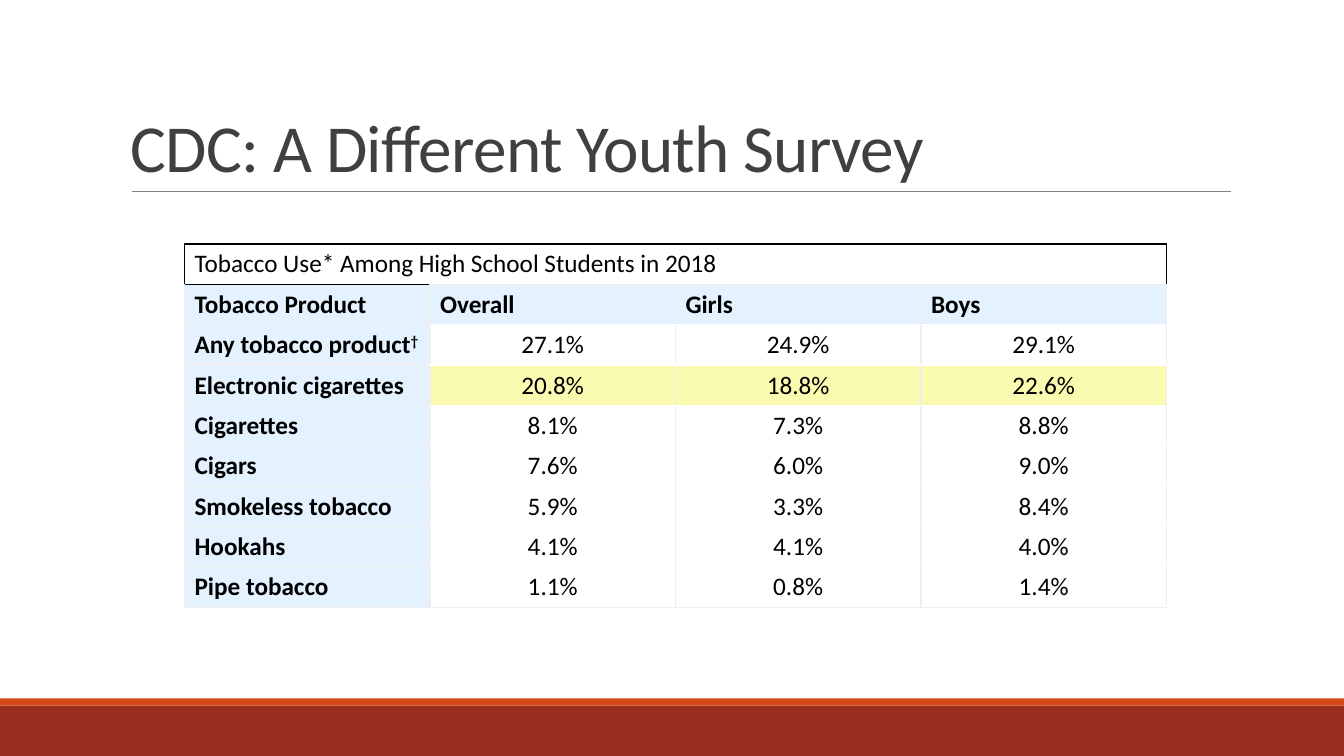
from lxml.etree import SubElement
from pptx import Presentation
from pptx.dml.color import RGBColor
from pptx.enum.shapes import MSO_CONNECTOR, MSO_SHAPE
from pptx.enum.text import MSO_ANCHOR, PP_ALIGN
from pptx.oxml import parse_xml
from pptx.oxml.ns import nsdecls, qn
from pptx.util import Inches, Pt

FONT = "Calibri"
BLACK, WHITE, GRID = "000000", "FFFFFF", "EEEEEE"
LABEL_FILL, HIGHLIGHT = "E3F2FE", "FBFAB1"
CAPTION = "Tobacco Use* Among High School Students in 2018"
HEADINGS = ["Tobacco Product", "Overall", "Girls", "Boys"]
USE_RATES = [
    ["Any tobacco product†", "27.1%", "24.9%", "29.1%"],
    ["Electronic cigarettes", "20.8%", "18.8%", "22.6%"],
    ["Cigarettes", "8.1%", "7.3%", "8.8%"],
    ["Cigars", "7.6%", "6.0%", "9.0%"],
    ["Smokeless tobacco", "5.9%", "3.3%", "8.4%"],
    ["Hookahs", "4.1%", "4.1%", "4.0%"],
    ["Pipe tobacco", "1.1%", "0.8%", "1.4%"],
]


def color(hex_code):
    return RGBColor.from_string(hex_code)


def add_band(slide, left, top, width, height, fill):
    band = slide.shapes.add_shape(
        MSO_SHAPE.RECTANGLE, Inches(left), Inches(top), Inches(width), Inches(height))
    band.shadow.inherit = False
    band.fill.solid()
    band.fill.fore_color.rgb = color(fill)
    band.line.fill.background()


def add_footer(slide, left, top, width, height):
    accent_height = 0.07
    add_band(slide, left, top + accent_height, width, height - accent_height, "9B2D1F")
    add_band(slide, left, top, width, accent_height, "D34817")


def add_title(slide, left, top, width, height):
    bottom = top + height
    rule = slide.shapes.add_connector(
        MSO_CONNECTOR.STRAIGHT, Inches(left + 0.11), Inches(bottom),
        Inches(left + width + 0.01), Inches(bottom))
    rule.line.color.rgb = color("808080")
    rule.line.width = Pt(0.5)
    SubElement(rule._element.spPr, qn("a:effectLst"))

    title = slide.shapes.add_textbox(
        Inches(left), Inches(top), Inches(width), Inches(height)).text_frame
    title.word_wrap = True
    title.vertical_anchor = MSO_ANCHOR.BOTTOM
    heading = title.paragraphs[0]
    heading.line_spacing = 0.85
    run = heading.add_run()
    run.text = "CDC: A Different Youth Survey"
    heading.font.name = FONT
    heading.font.size = Pt(48)
    heading.font.color.rgb = color("404040")
    run.font._element.set("spc", "-50")


def set_borders(cell, **sides):
    properties = cell._tc.get_or_add_tcPr()
    ordered = [side for side in "LRTB" if side in sides]
    for index, side in enumerate(ordered):
        properties.insert(index, parse_xml(
            f'<a:ln{side} {nsdecls("a")} w="12700"><a:solidFill>'
            f'<a:srgbClr val="{sides[side]}"/></a:solidFill></a:ln{side}>'))


def fill_cell(cell, text, fill, bold=False, align=PP_ALIGN.LEFT, anchor=MSO_ANCHOR.TOP):
    cell.fill.solid()
    cell.fill.fore_color.rgb = color(fill)
    cell.vertical_anchor = anchor
    paragraph = cell.text_frame.paragraphs[0]
    paragraph.alignment = align
    paragraph.font.name = FONT
    paragraph.font.size = Pt(18)
    paragraph.font.bold = bold
    paragraph.font.color.rgb = color(BLACK)
    paragraph.add_run().text = text.rstrip("†")
    if text.endswith("†"):
        dagger = paragraph.add_run()
        dagger.text = "†"
        dagger.font._element.set("baseline", "30000")


def add_survey_table(slide, left, top, width, height):
    table = slide.shapes.add_table(
        len(USE_RATES) + 2, len(HEADINGS),
        Inches(left), Inches(top), Inches(width), Inches(height)).table
    table.first_row = False
    table.horz_banding = False

    caption = table.cell(0, 0)
    caption.merge(table.cell(0, len(HEADINGS) - 1))
    fill_cell(caption, CAPTION, WHITE, anchor=MSO_ANCHOR.MIDDLE)
    for cell in table.rows[0].cells:
        set_borders(cell, L=BLACK, R=BLACK, T=BLACK)

    for column, heading in enumerate(HEADINGS):
        cell = table.cell(1, column)
        fill_cell(cell, heading, LABEL_FILL, bold=True, anchor=MSO_ANCHOR.BOTTOM)
        is_label = column == 0
        set_borders(cell, L=GRID, R=GRID, T=BLACK if is_label else GRID,
                    B=GRID if is_label else WHITE)

    for row, rates in enumerate(USE_RATES, start=2):
        product = rates[0]
        for column, text in enumerate(rates):
            cell = table.cell(row, column)
            if column == 0:
                fill_cell(cell, text, LABEL_FILL, bold=True)
                set_borders(cell, L=GRID, R=GRID, T=GRID, B=GRID)
            else:
                fill = HIGHLIGHT if product == "Electronic cigarettes" else WHITE
                fill_cell(cell, text, fill, align=PP_ALIGN.CENTER)
                is_last = rates is USE_RATES[-1]
                set_borders(cell, L=GRID, R=GRID, T=WHITE, B=GRID if is_last else WHITE)


def main():
    presentation = Presentation()
    presentation.slide_width = Inches(13.33)
    presentation.slide_height = Inches(7.5)
    slide = presentation.slides.add_slide(presentation.slide_layouts[6])
    add_footer(slide, 0, 6.93, 13.33, 0.57)
    add_title(slide, 1.2, 0.31, 11, 1.59)
    add_survey_table(slide, 1.83, 2.42, 9.74, 3.6)
    presentation.save("out.pptx")


if __name__ == "__main__":
    main()
